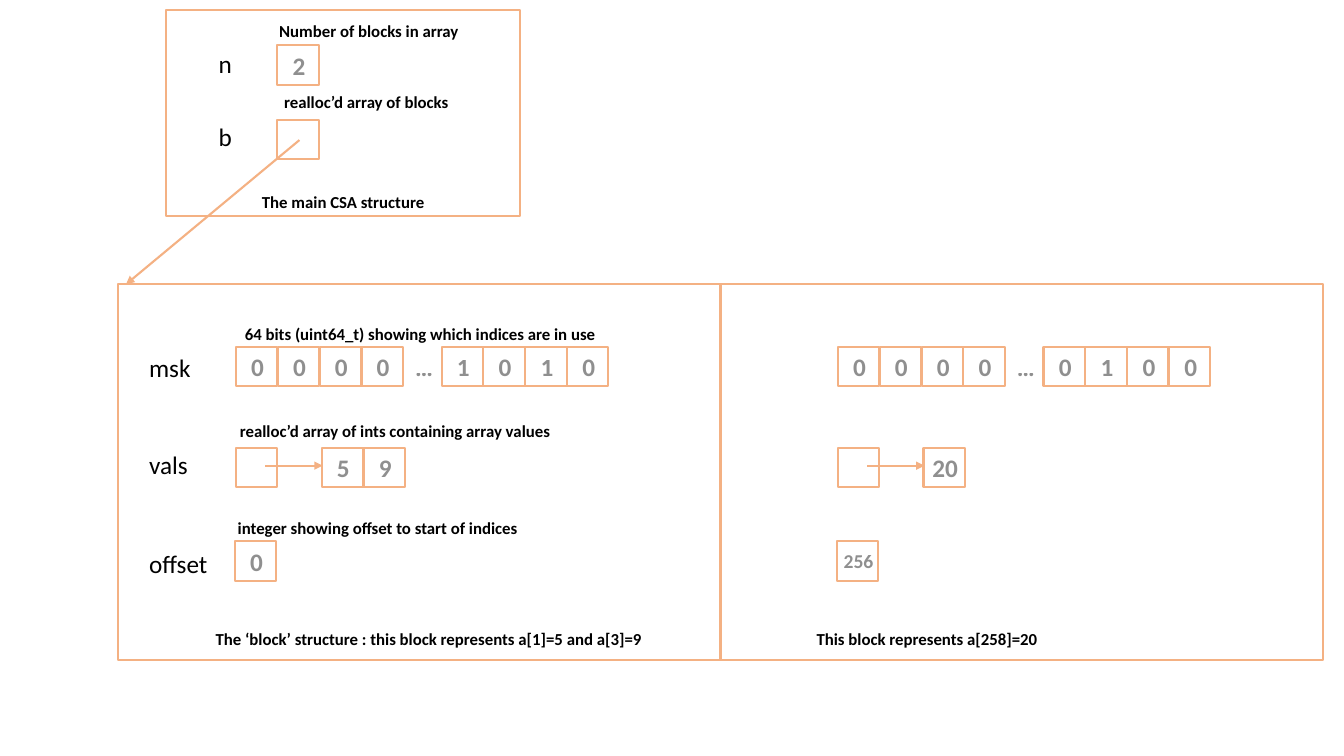
from lxml import etree
from pptx import Presentation
from pptx.dml.color import RGBColor
from pptx.enum.shapes import MSO_CONNECTOR as Connector, MSO_SHAPE as Shape
from pptx.enum.text import MSO_ANCHOR as Anchor, PP_ALIGN as Align
from pptx.oxml.ns import qn
from pptx.util import Inches, Pt

ORANGE = RGBColor(0xF4, 0xB1, 0x83)
BLACK = RGBColor(0x00, 0x00, 0x00)
FONT = "Calibri"
VALUE_OPACITY = "44000"

# Content: lengths in inches
MAIN_FRAME = (1.65, 0.1, 3.51, 2.04)
MAIN_CELLS = [("2", 2.75, 0.45), ("", 2.75, 1.19)]
ROW_NAMES = [  # text, left, top, width
    ("n", 2.07, 0.43, 0.35),
    ("b", 2.07, 1.15, 0.44),
    ("msk", 1.38, 3.45, 0.82),
    ("vals", 1.38, 4.41, 0.82),
    ("offset", 1.38, 5.39, 0.82),
]
CAPTIONS = [
    ("Number of blocks in array", 2.67, 0.16, 3.13),
    ("realloc’d array of blocks", 2.72, 0.86, 2.06),
    ("The main CSA structure", 2.5, 1.85, 2.06),
    ("64 bits (uint64_t) showing which indices are in use", 2.33, 3.16, 4.18),
    ("realloc’d array of ints containing array values", 2.28, 4.12, 3.75),
    ("integer showing offset to start of indices", 2.26, 5.09, 3.13),
    ("The ‘block’ structure : this block represents a[1]=5 and a[3]=9", 2.04, 6.19, 4.68),
    ("This block represents a[258]=20", 8, 6.19, 4.68),
]
BLOCKS = [
    {"high": "0000", "low": "1010", "vals": ["5", "9"], "offset": "0"},
    {"high": "0000", "low": "0100", "vals": ["20"], "offset": "256"},
]

# Layout rules
CELL_WIDTH, CELL_HEIGHT, CELL_STEP = 0.41, 0.39, 0.415
BLOCK_LEFT, BLOCK_TOP, BLOCK_WIDTH, BLOCK_HEIGHT = 1.17, 2.82, 5.98, 3.73
BLOCK_STEP = 5.97
MSK_TOP, VALS_TOP, OFFSET_TOP = 3.44, 4.44, 5.37

deck = Presentation()
deck.slide_width, deck.slide_height = Inches(13.33), Inches(7.5)
page = deck.slides.add_slide(deck.slide_layouts[6])


def add_span(para, text, size, bold=False, faded=False):
    span = para.add_run()
    span.text = text
    font = span.font
    font.name, font.size, font.bold = FONT, Pt(size), bold
    font.color.rgb = BLACK
    if faded:
        color = span._r.rPr.find(qn("a:solidFill")).find(qn("a:srgbClr"))
        etree.SubElement(color, qn("a:alpha")).set("val", VALUE_OPACITY)


def add_text(text, left, top, width, height, size, **style):
    box = page.shapes.add_textbox(Inches(left), Inches(top), Inches(width), Inches(height))
    box.text_frame.word_wrap = True
    para = box.text_frame.paragraphs[0]
    add_span(para, text, size, **style)
    return para


def add_frame(left, top, width, height):
    frame = page.shapes.add_shape(
        Shape.RECTANGLE, Inches(left), Inches(top), Inches(width), Inches(height))
    frame.shadow.inherit = False
    frame.fill.background()
    frame.line.color.rgb = ORANGE
    frame.line.width = Pt(1.5)
    return frame


def add_cell(value, left, top):
    cell = add_frame(left, top, CELL_WIDTH, CELL_HEIGHT)
    if value:
        body = cell.text_frame
        body.word_wrap = True
        body.margin_left = Inches(0.02)
        body.margin_right = body.margin_top = body.margin_bottom = 0
        body.vertical_anchor = Anchor.MIDDLE
        para = body.paragraphs[0]
        para.alignment = Align.CENTER
        add_span(para, value, 14 if len(value) > 2 else 18, bold=True, faded=True)


def add_cells(values, left, top):
    for index, value in enumerate(values):
        add_cell(value, left + index * CELL_STEP, top)


def add_arrow(x1, y1, x2, y2):
    arrow = page.shapes.add_connector(
        Connector.STRAIGHT, Inches(x1), Inches(y1), Inches(x2), Inches(y2))
    arrow.line.color.rgb = ORANGE
    arrow.line.width = Pt(1.5)
    etree.SubElement(arrow.line._get_or_add_ln(), qn("a:tailEnd")).set("type", "triangle")
    etree.SubElement(arrow._element.spPr, qn("a:effectLst"))


# Main structure and its pointer to the first block
add_frame(*MAIN_FRAME)
for value, left, top in MAIN_CELLS:
    add_cell(value, left, top)
add_arrow(2.97, 1.39, 1.25, BLOCK_TOP)

# Blocks
for index, block in enumerate(BLOCKS):
    left = BLOCK_LEFT + index * BLOCK_STEP
    add_frame(left, BLOCK_TOP, BLOCK_WIDTH, BLOCK_HEIGHT)
    add_cells(block["high"], left + 1.17, MSK_TOP)
    dots = add_text("…", left + 2.79, MSK_TOP, 0.49, 0.4, 18, bold=True, faded=True)
    dots.alignment = Align.CENTER
    add_cells(block["low"], left + 3.21, MSK_TOP)
    add_cell("", left + 1.17, VALS_TOP)
    add_cells(block["vals"], left + 2.02, VALS_TOP)
    add_arrow(left + 1.46, 4.62, left + 2.03, 4.62)
    add_cell(block["offset"], left + 1.16, OFFSET_TOP)

# Labels
for name, left, top, width in ROW_NAMES:
    add_text(name, left, top, width, 0.4, 18)
for caption, left, top, width in CAPTIONS:
    add_text(caption, left, top, width, 0.3, 12, bold=True)

deck.save("out.pptx")
